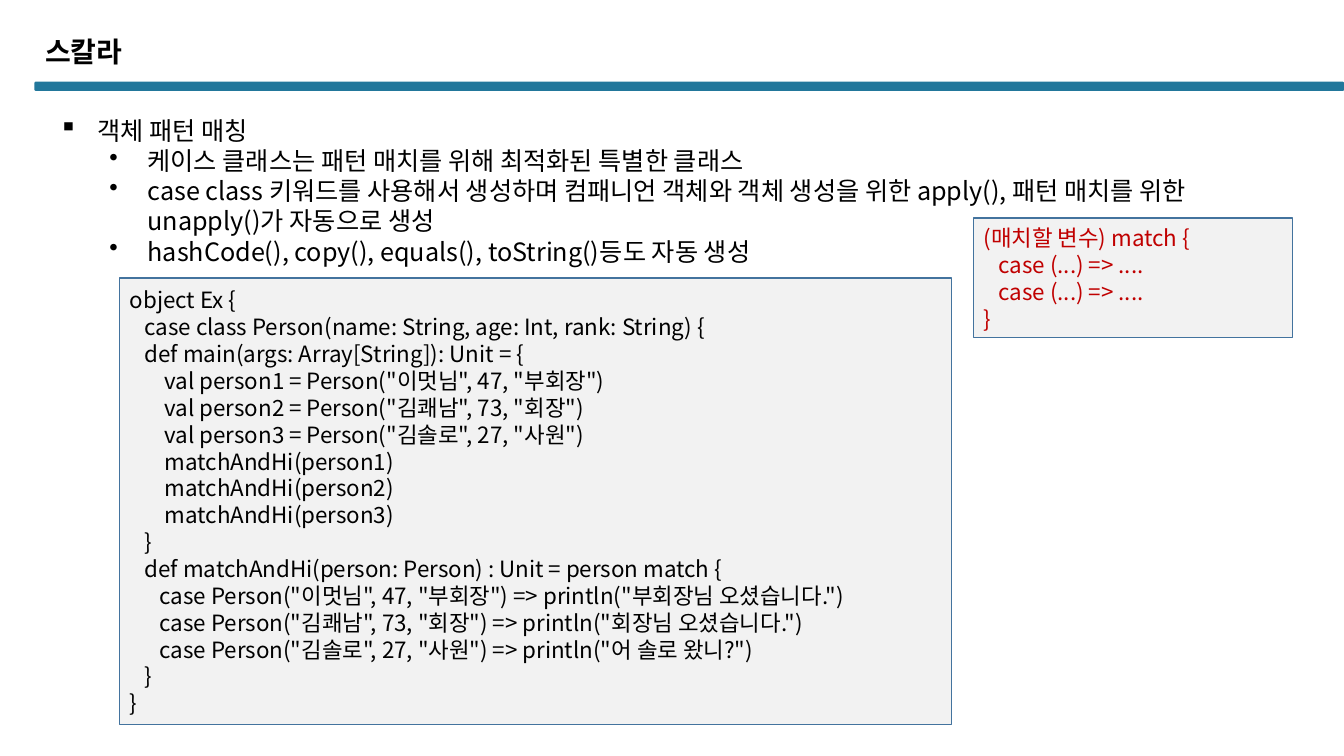
from lxml.etree import SubElement
from pptx import Presentation
from pptx.dml.color import RGBColor
from pptx.enum.shapes import MSO_SHAPE
from pptx.enum.text import MSO_ANCHOR, PP_ALIGN
from pptx.oxml.ns import qn
from pptx.util import Cm, Pt

BLACK = RGBColor(0x00, 0x00, 0x00)
RED = RGBColor(0xC0, 0x00, 0x00)
TEAL = RGBColor(0x22, 0x77, 0x9B)
BORDER = RGBColor(0x43, 0x73, 0x9E)
PANEL = RGBColor(0xF2, 0xF2, 0xF2)

# Each line is (level, text).
BULLETS = [
    (0, "객체 패턴 매칭"),
    (1, "케이스 클래스는 패턴 매치를 위해 최적화된 특별한 클래스"),
    (1, "case class 키워드를 사용해서 생성하며 컴패니언 객체와 객체 생성을 위한 "
        "apply(), 패턴 매치를 위한 unapply()가 자동으로 생성"),
    (1, "hashCode(), copy(), equals(), toString()등도 자동 생성"),
]

# Each line is (indent in characters, text).
MATCH_SYNTAX = [
    (0, "(매치할 변수) match {"),
    (3, "case (...) => ...."),
    (3, "case (...) => ...."),
    (0, "}"),
]
EXAMPLE = [
    (0, "object Ex {"),
    (3, "case class Person(name: String, age: Int, rank: String) {"),
    (3, "def main(args: Array[String]): Unit = {"),
    (7, 'val person1 = Person("이멋님", 47, "부회장")'),
    (7, 'val person2 = Person("김쾌남", 73, "회장")'),
    (7, 'val person3 = Person("김솔로", 27, "사원")'),
    (7, "matchAndHi(person1)"),
    (7, "matchAndHi(person2)"),
    (7, "matchAndHi(person3)"),
    (3, "}"),
    (3, "def matchAndHi(person: Person) : Unit = person match {"),
    (6, 'case Person("이멋님", 47, "부회장") => println("부회장님 오셨습니다.")'),
    (6, 'case Person("김쾌남", 73, "회장") => println("회장님 오셨습니다.")'),
    (6, 'case Person("김솔로", 27, "사원") => println("어 솔로 왔니?")'),
    (3, "}"),
    (0, "}"),
]


class SlideBuilder:
    font = "Noto Sans CJK KR"
    title_size, bullet_size, code_size = 20, 18, 16
    leading = 1.2
    code_space = 0.126  # width of one code character of indent, in cm
    hanging = 0.96

    def __init__(self, page):
        self.page = page

    def style(self, para, size, color=BLACK, bold=False):
        for span in para.runs:
            span.font.size = Pt(size)
            span.font.bold = bold
            span.font.color.rgb = color
            span.font.name = self.font
            east_asian = SubElement(span.font._element, qn("a:ea"))
            east_asian.set("typeface", self.font)

    def write_lines(self, frame, lines, size, color=BLACK):
        """Fill the frame and yield each level with its styled paragraph."""
        frame.word_wrap = True
        frame.text = "\n".join(text for _, text in lines)
        for para, (level, _) in zip(frame.paragraphs, lines):
            para.alignment = PP_ALIGN.LEFT
            para.line_spacing = Pt(size * self.leading)
            self.style(para, size, color)
            yield level, para

    def indent(self, para, left, first=0):
        properties = para._p.get_or_add_pPr()
        properties.set("marL", str(Cm(left)))
        properties.set("indent", str(Cm(first)))
        return properties

    def shape(self, kind, place, fill):
        box = self.page.shapes.add_shape(kind, *map(Cm, place))
        box.shadow.inherit = False
        box.fill.solid()
        box.fill.fore_color.rgb = fill
        return box

    def header_bar(self, *place):
        bar = self.shape(MSO_SHAPE.ROUNDED_RECTANGLE, place, TEAL)
        bar.adjustments[0] = 0.13
        bar.line.fill.background()

    def title(self, text, *place):
        frame = self.page.shapes.add_textbox(*map(Cm, place)).text_frame
        frame.word_wrap = True
        frame.text = text
        para = frame.paragraphs[0]
        para.line_spacing = 0.9
        self.style(para, self.title_size, bold=True)

    def bullets(self, lines, *place):
        frame = self.page.shapes.add_textbox(*map(Cm, place)).text_frame
        for level, para in self.write_lines(frame, lines, self.bullet_size):
            para.level = level
            properties = self.indent(para, self.hanging + 1.27 * level, -self.hanging)
            SubElement(properties, qn("a:buChar")).set("char", "▪•"[level])

    def code(self, lines, color, *place):
        box = self.shape(MSO_SHAPE.RECTANGLE, place, PANEL)
        box.line.color.rgb = BORDER
        box.line.width = Pt(1)
        frame = box.text_frame
        frame.vertical_anchor = MSO_ANCHOR.MIDDLE
        for spaces, para in self.write_lines(frame, lines, self.code_size, color):
            self.indent(para, spaces * self.code_space)


def main():
    deck = Presentation()
    deck.slide_width, deck.slide_height = Cm(33.87), Cm(19.05)
    builder = SlideBuilder(deck.slides.add_slide(deck.slide_layouts[6]))
    builder.header_bar(0.87, 2.06, 33, 0.23)
    builder.title("스칼라", 0.89, 0.84, 20.07, 1.19)
    builder.bullets(BULLETS, 1.24, 2.77, 31.57, 4.88)
    builder.code(MATCH_SYNTAX, RED, 24.54, 5.49, 8.03, 3.02)
    builder.code(EXAMPLE, BLACK, 3.02, 7.01, 20.96, 11.25)
    deck.save("out.pptx")


if __name__ == "__main__":
    main()
